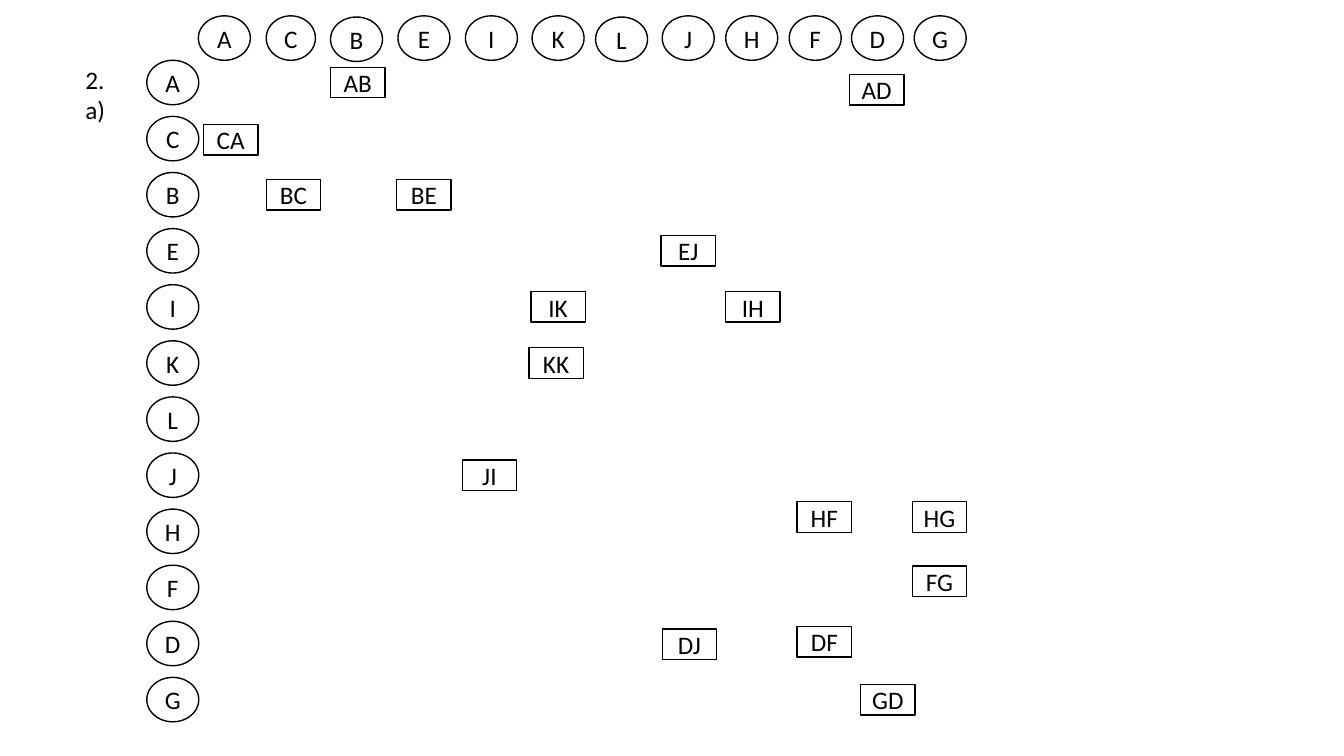
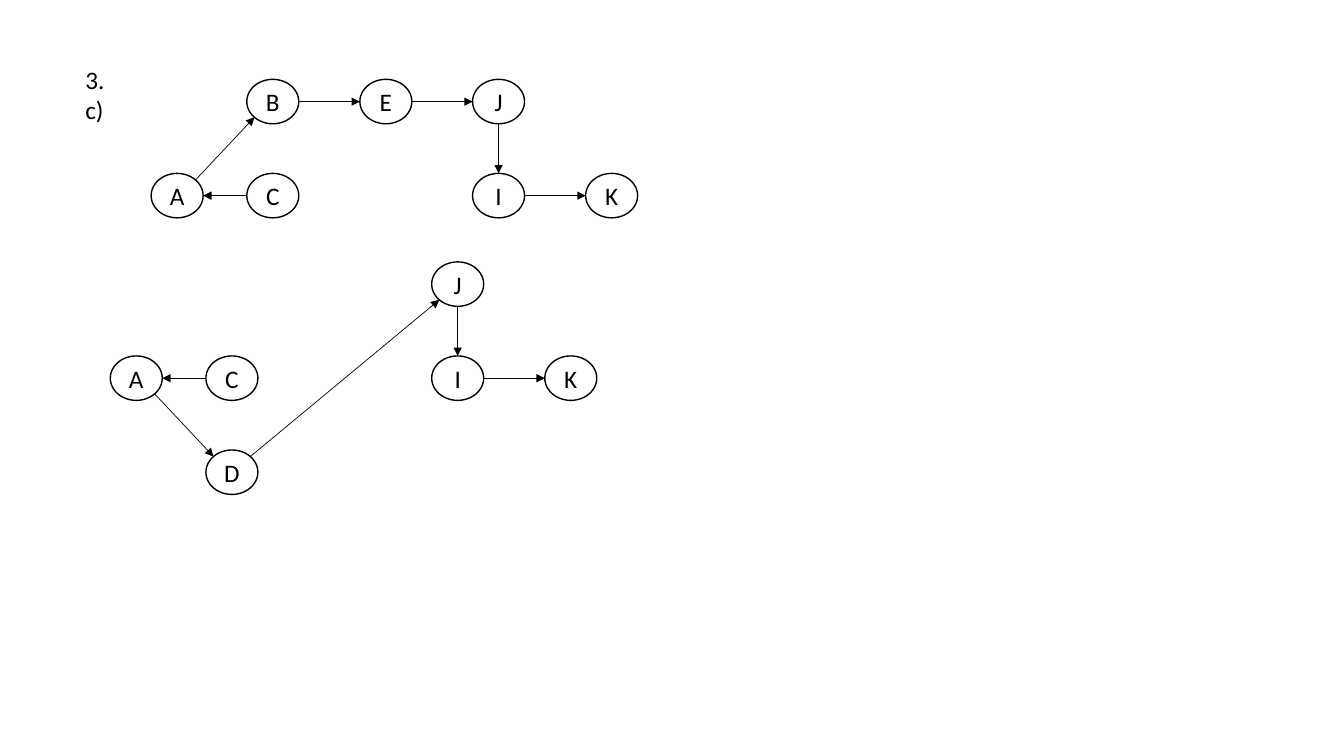
from dataclasses import dataclass
from math import copysign, hypot

from lxml import etree
from pptx import Presentation
from pptx.dml.color import RGBColor
from pptx.enum.shapes import MSO_CONNECTOR, MSO_SHAPE as Preset
from pptx.enum.text import MSO_ANCHOR, MSO_AUTO_SIZE, PP_ALIGN
from pptx.oxml.ns import qn
from pptx.slide import Slide
from pptx.text.text import _Paragraph as Paragraph
from pptx.util import Cm, Pt

BLACK = RGBColor(0x00, 0x00, 0x00)
WHITE = RGBColor(0xFF, 0xFF, 0xFF)
FONT = "Calibri"
FONT_SIZE = Pt(18)

NODE_WIDTH, NODE_HEIGHT = 1.31, 1.12
TAG_WIDTH, TAG_HEIGHT = 1.37, 0.77

NODE_ORDER = "ACBEIKLJHFDG"
COLUMN_LEFTS = dict(zip(NODE_ORDER, (
    5.0, 6.71, 8.33, 10.03, 11.73, 13.41, 15.01, 16.69, 18.29, 19.89, 21.46, 23.04)))
HEADER_TOP = 0.4
LOWERED_HEADERS = {"B": 0.03, "L": 0.03}
HEADER_WIDTHS = {"C": 1.24}
ROW_LEFT = 3.7
FIRST_ROW_TOP, LAST_ROW_TOP = 1.52, 17.07
ROW_STEP = (LAST_ROW_TOP - FIRST_ROW_TOP) / (len(NODE_ORDER) - 1)
ROW_TOPS = {name: FIRST_ROW_TOP + index * ROW_STEP for index, name in enumerate(NODE_ORDER)}

GRAPH_COLUMNS = (0, 2.41, 5.26, 8.1, 10.95)
GRAPH_ROW_STEP = 2.37


@dataclass(frozen=True)
class EdgeTag:
    label: str
    shift_x: float = 0
    shift_y: float = 0


@dataclass(frozen=True)
class Graph:
    left: float
    top: float
    nodes: dict[str, tuple[int, int]]
    edges: tuple[str, ...]

    def corner(self, name: str) -> tuple[float, float]:
        column, row = self.nodes[name]
        return self.left + GRAPH_COLUMNS[column], self.top + row * GRAPH_ROW_STEP

    def rim(self, name: str, toward: str) -> tuple[float, float]:
        left, top = self.corner(name)
        steps = [b - a for a, b in zip(self.nodes[name], self.nodes[toward])]
        across, down = (copysign(1, step) if step else 0 for step in steps)
        length = hypot(across, down)
        return (left + NODE_WIDTH / 2 * (1 + across / length),
                top + NODE_HEIGHT / 2 * (1 + down / length))


EDGE_TAGS = (
    EdgeTag("CA", 0.13, 0.03),
    EdgeTag("AB"),
    EdgeTag("BC"),
    EdgeTag("AD", -0.05, 0.18),
    EdgeTag("BE", -0.03),
    EdgeTag("EJ", -0.03),
    EdgeTag("JI", -0.08),
    EdgeTag("KK", -0.08),
    EdgeTag("IK", -0.03),
    EdgeTag("IH"),
    EdgeTag("HG", -0.05, -0.36),
    EdgeTag("HF", 0.2, -0.36),
    EdgeTag("DF", 0.2, -0.04),
    EdgeTag("FG", -0.05, -0.15),
    EdgeTag("GD", 0.23),
    EdgeTag("DJ", 0, 0.02),
)

GRAPHS = (
    Graph(3.81, 2.0,
          {"B": (1, 0), "E": (2, 0), "J": (3, 0), "C": (1, 1),
           "A": (0, 1), "I": (3, 1), "K": (4, 1)},
          ("BE", "EJ", "JI", "IK", "AB", "CA")),
    Graph(2.78, 6.6,
          {"J": (3, 0), "C": (1, 1), "A": (0, 1), "D": (1, 2),
           "I": (3, 1), "K": (4, 1)},
          ("JI", "IK", "CA", "AD", "DJ")),
)


def write(para: Paragraph, text: str) -> None:
    para.text = text
    para.font.name = FONT
    para.font.size = FONT_SIZE
    para.font.color.rgb = BLACK


def add_question_label(page: Slide, text: str) -> None:
    box = page.shapes.add_textbox(Cm(1.9), Cm(1.5), Cm(1.37), Cm(1.8))
    box.text_frame.word_wrap = True
    box.text_frame.auto_size = MSO_AUTO_SIZE.SHAPE_TO_FIT_TEXT
    write(box.text_frame.paragraphs[0], text)


def add_outlined(page: Slide, preset: Preset, text: str, left: float, top: float,
                 width: float, height: float) -> None:
    shape = page.shapes.add_shape(preset, Cm(left), Cm(top), Cm(width), Cm(height))
    shape.shadow.inherit = False
    shape.fill.solid()
    shape.fill.fore_color.rgb = WHITE
    shape.line.color.rgb = BLACK
    shape.line.width = Pt(1)
    shape.text_frame.vertical_anchor = MSO_ANCHOR.MIDDLE
    para = shape.text_frame.paragraphs[0]
    para.alignment = PP_ALIGN.CENTER
    write(para, text)


def add_node(page: Slide, name: str, left: float, top: float,
             width: float = NODE_WIDTH) -> None:
    add_outlined(page, Preset.OVAL, name, left, top, width, NODE_HEIGHT)


def add_arrow(page: Slide, start: tuple[float, float], end: tuple[float, float]) -> None:
    arrow = page.shapes.add_connector(
        MSO_CONNECTOR.STRAIGHT, *(Cm(value) for value in (*start, *end)))
    arrow.line.color.rgb = BLACK
    arrow.line.width = Pt(0.5)
    etree.SubElement(arrow.line._get_or_add_ln(), qn("a:tailEnd"), type="triangle")
    etree.SubElement(arrow._element.spPr, qn("a:effectLst"))


def draw_matrix(page: Slide) -> None:
    add_question_label(page, "2. a)")
    for name in NODE_ORDER:
        add_node(page, name, COLUMN_LEFTS[name], HEADER_TOP + LOWERED_HEADERS.get(name, 0),
                 HEADER_WIDTHS.get(name, NODE_WIDTH))
        add_node(page, name, ROW_LEFT, ROW_TOPS[name])
    for tag in EDGE_TAGS:
        source, target = tag.label
        add_outlined(page, Preset.RECTANGLE, tag.label,
                     COLUMN_LEFTS[target] + tag.shift_x,
                     ROW_TOPS[source] + (NODE_HEIGHT - TAG_HEIGHT) / 2 + tag.shift_y,
                     TAG_WIDTH, TAG_HEIGHT)


def draw_paths(page: Slide) -> None:
    add_question_label(page, "3. c)")
    for graph in GRAPHS:
        for name in graph.nodes:
            add_node(page, name, *graph.corner(name))
        for source, target in graph.edges:
            add_arrow(page, graph.rim(source, target), graph.rim(target, source))


def main() -> None:
    deck = Presentation()
    deck.slide_width, deck.slide_height = Cm(33.87), Cm(19.05)
    for draw in (draw_matrix, draw_paths):
        draw(deck.slides.add_slide(deck.slide_layouts[6]))
    deck.save("out.pptx")


if __name__ == "__main__":
    main()
